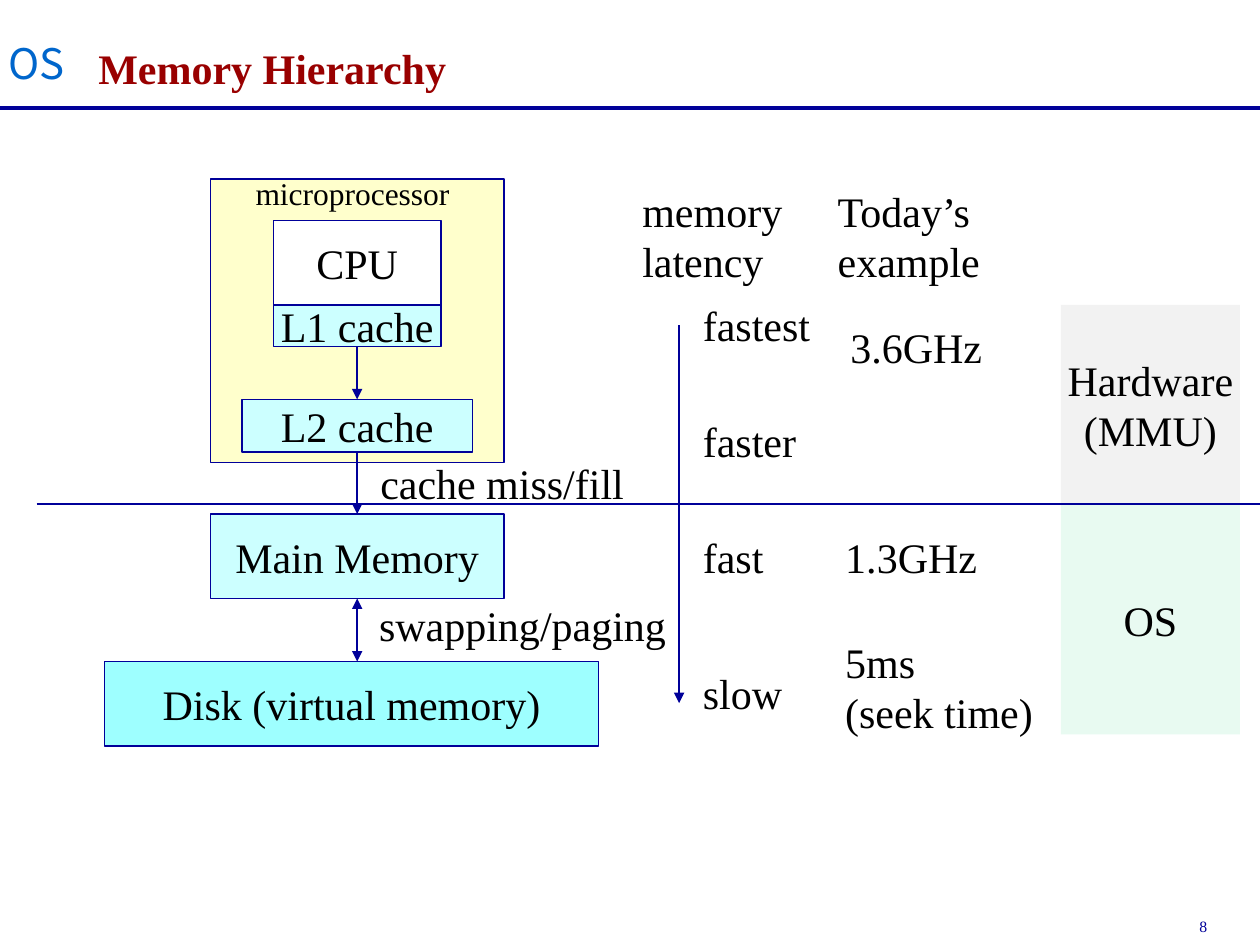
from dataclasses import dataclass
from typing import Optional

from lxml.etree import SubElement
from pptx import Presentation
from pptx.dml.color import RGBColor
from pptx.enum.shapes import MSO_CONNECTOR as CONN, MSO_SHAPE as SHAPE
from pptx.enum.text import MSO_ANCHOR as ANCHOR, PP_ALIGN as ALIGN
from pptx.oxml.ns import qn
from pptx.util import Inches, Pt

SERIF = "Times New Roman"
SANS = "Noto Sans CJK SC"
NAVY = RGBColor(0x00, 0x00, 0x99)
BLUE = RGBColor(0x00, 0x66, 0xCC)
DARK_RED = RGBColor(0x99, 0x00, 0x00)
BLACK = RGBColor(0x00, 0x00, 0x00)
WHITE = RGBColor(0xFF, 0xFF, 0xFF)
CREAM = RGBColor(0xFF, 0xFF, 0xCC)
PALE_CYAN = RGBColor(0xCC, 0xFF, 0xFF)
CYAN = RGBColor(0x9E, 0xFF, 0xFF)
GRAY = RGBColor(0xF2, 0xF2, 0xF2)
MINT = RGBColor(0xE8, 0xFA, 0xF1)


@dataclass
class Box:
    text: str
    left: float
    top: float
    width: float
    height: float
    fill: RGBColor
    line: Optional[RGBColor] = NAVY


@dataclass
class Label:
    text: str
    left: float
    top: float
    width: float
    height: float = 0.5
    size: float = 24
    color: RGBColor = BLACK
    font: str = SERIF
    inset: float = 0.1


BOXES = [
    Box("", 1.67, 1.42, 2.33, 2.25, CREAM),
    Box("CPU", 2.17, 1.75, 1.33, 0.67, WHITE),
    Box("L1 cache", 2.17, 2.42, 1.33, 0.33, PALE_CYAN),
    Box("L2 cache", 1.92, 3.17, 1.83, 0.42, PALE_CYAN),
    Box("Main Memory", 1.67, 4.08, 2.33, 0.67, PALE_CYAN),
    Box("Disk (virtual memory)", 0.83, 5.25, 3.92, 0.67, CYAN),
    Box("Hardware\n(MMU)", 8.42, 2.42, 1.42, 1.58, GRAY, None),
    Box("OS", 8.42, 4, 1.42, 1.83, MINT, None),
]

LABELS = [
    Label("OS", 0.07, 0.25, 0.5, 0.27, color=BLUE, font=SANS, inset=0),
    Label("microprocessor", 1.93, 1.33, 1.8, 0.4, size=18),
    Label("cache miss/fill", 2.92, 3.58, 2.2),
    Label("swapping/paging", 2.91, 4.71, 2.55),
    Label("memory\nlatency", 5, 1.42, 1.4, 0.9),
    Label("fastest", 5.48, 2.33, 1.12),
    Label("faster", 5.48, 3.25, 1.02),
    Label("fast", 5.48, 4.17, 0.75),
    Label("slow", 5.48, 5.25, 0.9),
    Label("Today’s\nexample", 6.55, 1.42, 1.4, 0.9),
    Label("3.6GHz", 6.65, 2.5, 1.32),
    Label("1.3GHz", 6.61, 4.17, 1.32),
    Label("5ms\n(seek time)", 6.61, 5, 1.76, 0.9),
    Label("8", 9.42, 7.23, 0.5, 0.25, size=9, color=NAVY),
]


def set_text(tf, text: str, size: float = 24, color: RGBColor = BLACK,
             font: str = SERIF, align=ALIGN.LEFT, bold: bool = False) -> None:
    tf.text = text
    for p in tf.paragraphs:
        p.alignment = align
        for r in p.runs:
            r.font.size = Pt(size)
            r.font.name = font
            r.font.bold = bold
            r.font.color.rgb = color


def add_box(s, box: Box):
    sp = s.shapes.add_shape(SHAPE.RECTANGLE, Inches(box.left), Inches(box.top),
                            Inches(box.width), Inches(box.height))
    sp.shadow.inherit = False
    sp.fill.solid()
    sp.fill.fore_color.rgb = box.fill
    if box.line is None:
        sp.line.fill.background()
    else:
        sp.line.color.rgb = box.line
        sp.line.width = Pt(1)
    if box.text:
        tf = sp.text_frame
        tf.word_wrap = False
        tf.vertical_anchor = ANCHOR.MIDDLE
        set_text(tf, box.text, align=ALIGN.CENTER)
    return sp


def add_label(s, label: Label) -> None:
    sp = s.shapes.add_textbox(Inches(label.left), Inches(label.top),
                              Inches(label.width), Inches(label.height))
    tf = sp.text_frame
    tf.word_wrap = False
    tf.margin_left = tf.margin_right = Inches(label.inset)
    set_text(tf, label.text, label.size, label.color, label.font)


def add_line(s, x1: float, y1: float, x2: float, y2: float,
             width: float = 1, head: bool = False, tail: bool = False):
    cx = s.shapes.add_connector(CONN.STRAIGHT, Inches(x1), Inches(y1),
                                Inches(x2), Inches(y2))
    cx.line.color.rgb = NAVY
    cx.line.width = Pt(width)
    ln = cx.line._get_or_add_ln()
    for tag, wanted in (("a:headEnd", head), ("a:tailEnd", tail)):
        if wanted:
            SubElement(ln, qn(tag)).set("type", "triangle")
    SubElement(cx._element.spPr, qn("a:effectLst"))
    return cx


def main() -> None:
    prs = Presentation()
    prs.slide_width, prs.slide_height = Inches(10), Inches(7.5)
    s = prs.slides.add_slide(prs.slide_layouts[5])

    title = s.shapes.title
    title.left, title.top = Inches(0.68), Inches(0.13)
    title.width, title.height = Inches(8.7), Inches(0.66)
    title.text_frame.vertical_anchor = ANCHOR.BOTTOM
    set_text(title.text_frame, "Memory Hierarchy", color=DARK_RED, bold=True)
    add_line(s, 0, 0.86, 10, 0.86, width=2.25)

    _, _, l1, l2, memory, _, _, _ = [add_box(s, box) for box in BOXES]
    for upper, lower in ((l1, l2), (l2, memory)):
        cx = add_line(s, 2.83, 2.75, 2.83, 3.17, tail=True)
        cx.begin_connect(upper, 2)
        cx.end_connect(lower, 0)
    swap = add_line(s, 2.83, 4.75, 2.83, 5.25, head=True, tail=True)
    swap.begin_connect(memory, 2)
    swap.end_x = swap.begin_x

    add_line(s, 5.39, 2.58, 5.39, 5.58, tail=True)
    add_line(s, 0.29, 4, 10, 4, width=0.75)
    for label in LABELS:
        add_label(s, label)

    prs.save("out.pptx")


if __name__ == "__main__":
    main()
